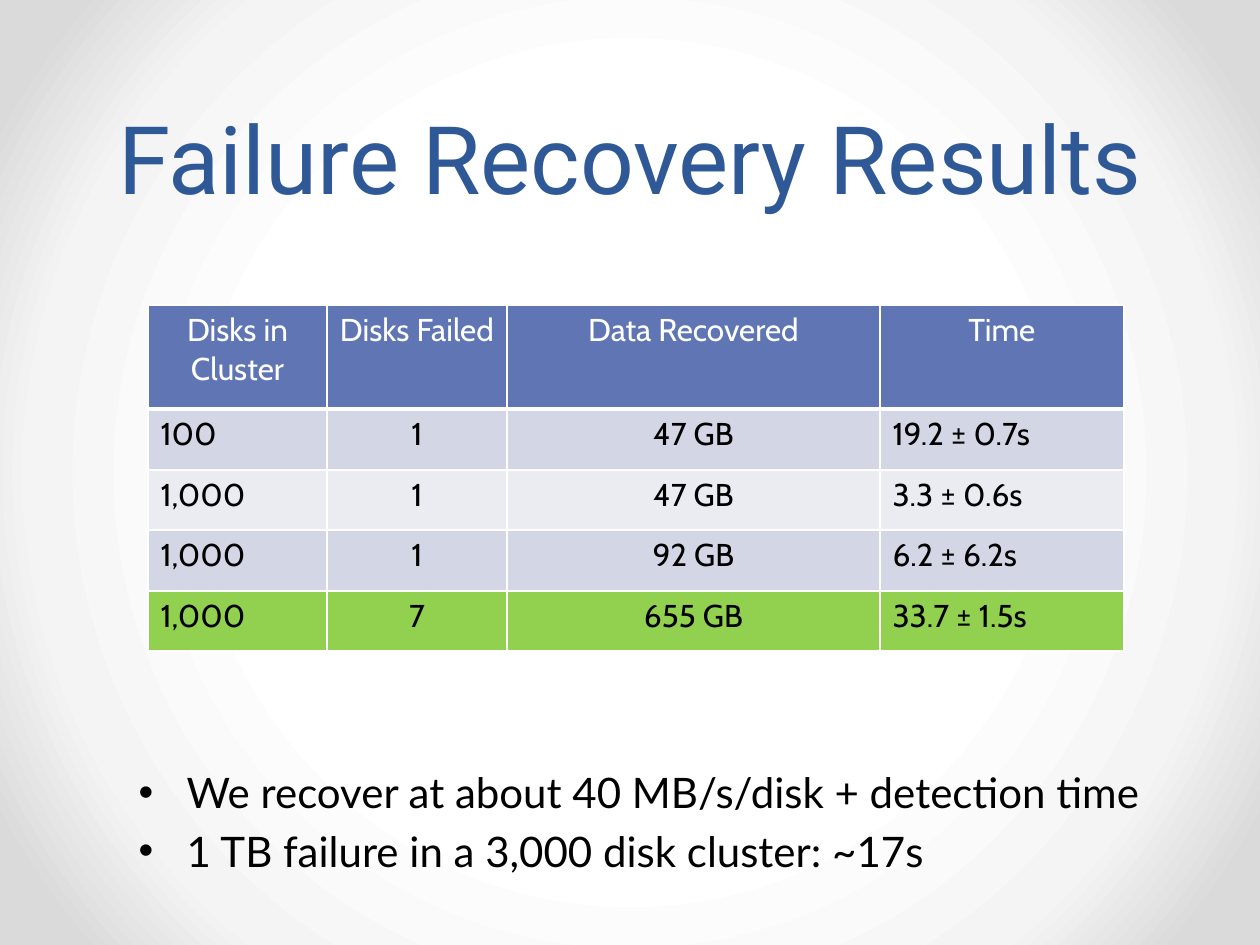
from lxml.etree import SubElement
from pptx import Presentation
from pptx.dml.color import RGBColor
from pptx.enum.text import MSO_ANCHOR, MSO_AUTO_SIZE, PP_ALIGN
from pptx.oxml import parse_xml
from pptx.oxml.ns import nsdecls, qn
from pptx.util import Emu, Pt

PX = 914400 / 126
BLACK = RGBColor(0x00, 0x00, 0x00)
WHITE = RGBColor(0xFF, 0xFF, 0xFF)
TITLE_BLUE = RGBColor(0x2F, 0x58, 0x97)
HEADER_BLUE = RGBColor(0x60, 0x76, 0xB4)
BAND_DARK = RGBColor(0xD2, 0xD6, 0xE5)
BAND_LIGHT = RGBColor(0xEA, 0xEC, 0xF2)
HIGHLIGHT = RGBColor(0x92, 0xD0, 0x50)
GRADIENT_STOPS = [
    (50, WHITE),
    (76, RGBColor(0xF4, 0xF4, 0xF4)),
    (92, RGBColor(0xDA, 0xDA, 0xDA)),
]

RESULTS = [
    ("Disks in Cluster", "Disks Failed", "Data Recovered", "Time"),
    ("100", "1", "47 GB", "19.2 ± 0.7s"),
    ("1,000", "1", "47 GB", "3.3 ± 0.6s"),
    ("1,000", "1", "92 GB", "6.2 ± 6.2s"),
    ("1,000", "7", "655 GB", "33.7 ± 1.5s"),
]
ROW_FILLS = [HEADER_BLUE, BAND_DARK, BAND_LIGHT, BAND_DARK, HIGHLIGHT]
COLUMN_WIDTHS = [179, 180, 373, 244]
ROW_HEIGHTS = [104, 61, 60, 61, 60]
CENTERED_COLUMNS = (1, 2)
FINDINGS = [
    "We recover at about 40 MB/s/disk + detection time",
    "1 TB failure in a 3,000 disk cluster: ~17s",
]


def px(length):
    return Emu(round(length * PX))


def place(shape, box):
    shape.left, shape.top, shape.width, shape.height = map(px, box)


def style(font, name, size, color):
    font.name, font.size, font.color.rgb = name, Pt(size), color


def paint_background(slide):
    """Radial gradient, light in the centre."""
    slide.background.fill.gradient()
    gradient = slide.element.find(".//" + qn("a:gradFill"))
    stops = "".join(
        f'<a:gs pos="{position * 1000}"><a:srgbClr val="{color}"/></a:gs>'
        for position, color in GRADIENT_STOPS
    )
    radial = parse_xml(
        f'<a:gradFill {nsdecls("a")} rotWithShape="1"><a:gsLst>{stops}</a:gsLst>'
        '<a:path path="circle">'
        '<a:fillToRect l="50000" t="50000" r="50000" b="50000"/>'
        "</a:path></a:gradFill>"
    )
    gradient.getparent().replace(gradient, radial)


def fill_title(title, box):
    place(title, box)
    frame = title.text_frame
    frame.text = "Failure Recovery Results"
    frame.auto_size = MSO_AUTO_SIZE.NONE
    frame.vertical_anchor = MSO_ANCHOR.BOTTOM
    paragraph = frame.paragraphs[0]
    paragraph.alignment = PP_ALIGN.CENTER
    paragraph.line_spacing = Pt(58)
    style(paragraph.font, "Roboto", 54, TITLE_BLUE)


def fill_findings(body, box):
    place(body, box)
    frame = body.text_frame
    frame.text = "\n".join(FINDINGS)
    frame.auto_size = MSO_AUTO_SIZE.NONE
    for index, paragraph in enumerate(frame.paragraphs):
        properties = paragraph._p.get_or_add_pPr()
        properties.set("marL", str(px(48)))
        properties.set("indent", str(-px(48)))
        SubElement(properties, qn("a:buFont"), typeface="Arial")
        SubElement(properties, qn("a:buChar"), char="•")
        paragraph.space_before = Pt(4.8 if index else 0)
        style(paragraph.font, "Lato", 24, BLACK)


def add_borders(cell, top, bottom):
    properties = cell._tc.get_or_add_tcPr()
    for side, width in zip("LRTB", (1, 1, top, bottom)):
        line = SubElement(properties, qn(f"a:ln{side}"), w=str(Pt(width)))
        fill = SubElement(line, qn("a:solidFill"))
        SubElement(fill, qn("a:srgbClr"), val=str(WHITE))


def add_results_table(slide, left, top):
    table = slide.shapes.add_table(
        len(RESULTS), len(COLUMN_WIDTHS), px(left), px(top),
        px(sum(COLUMN_WIDTHS)), px(sum(ROW_HEIGHTS)),
    ).table
    for column, width in zip(table.columns, COLUMN_WIDTHS):
        column.width = px(width)
    for row, height in zip(table.rows, ROW_HEIGHTS):
        row.height = px(height)
    for r, values in enumerate(RESULTS):
        header = r == 0
        for c, value in enumerate(values):
            cell = table.cell(r, c)
            cell.text = value
            add_borders(cell, top=3 if r == 1 else 1, bottom=3 if header else 1)
            cell.fill.solid()
            cell.fill.fore_color.rgb = ROW_FILLS[r]
            paragraph = cell.text_frame.paragraphs[0]
            centered = header or c in CENTERED_COLUMNS
            paragraph.alignment = PP_ALIGN.CENTER if centered else PP_ALIGN.LEFT
            style(paragraph.font, "Cabin", 18, WHITE if header else BLACK)
            paragraph.font.bold = False


def main():
    presentation = Presentation()
    presentation.slide_width, presentation.slide_height = px(1260), px(945)
    slide = presentation.slides.add_slide(presentation.slide_layouts[1])
    paint_background(slide)
    fill_title(slide.shapes.title, (63, 0, 1134, 220))
    fill_findings(slide.placeholders[1], (126, 760, 1087, 128))
    add_results_table(slide, 148, 305)
    presentation.save("out.pptx")


if __name__ == "__main__":
    main()
